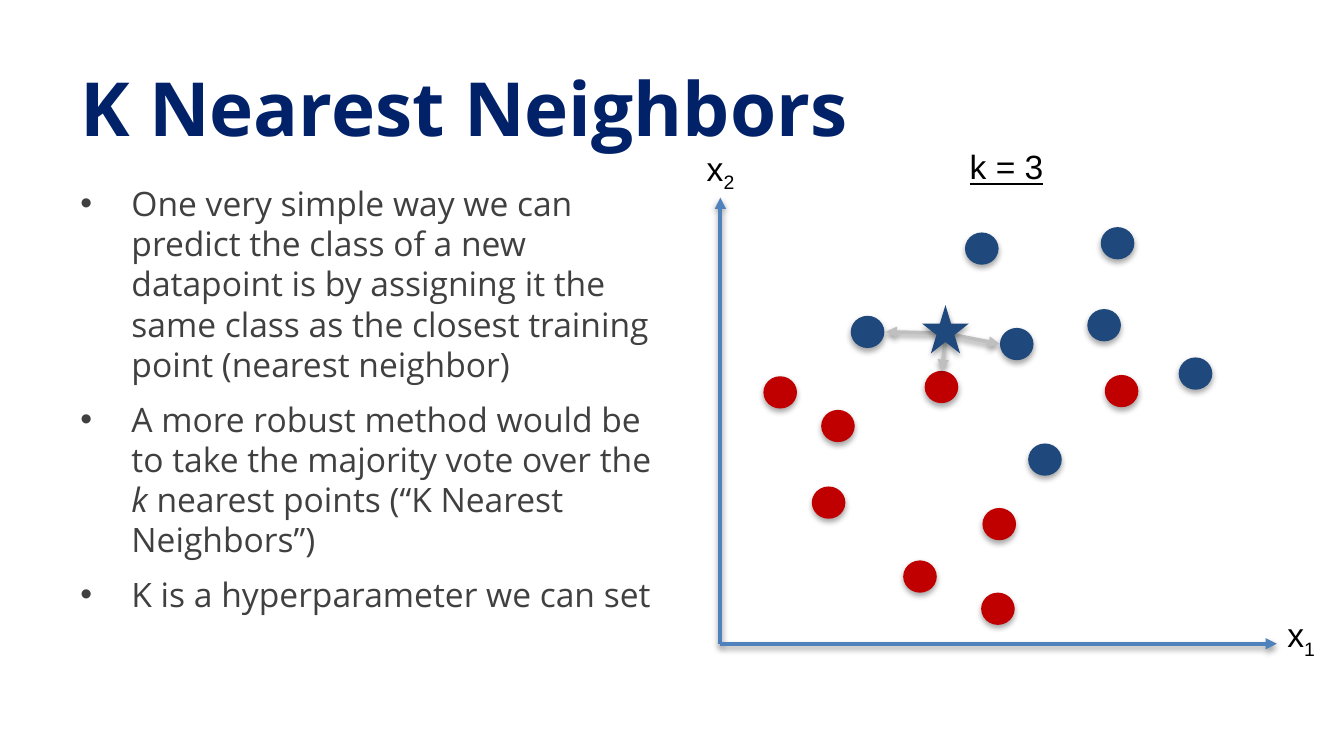
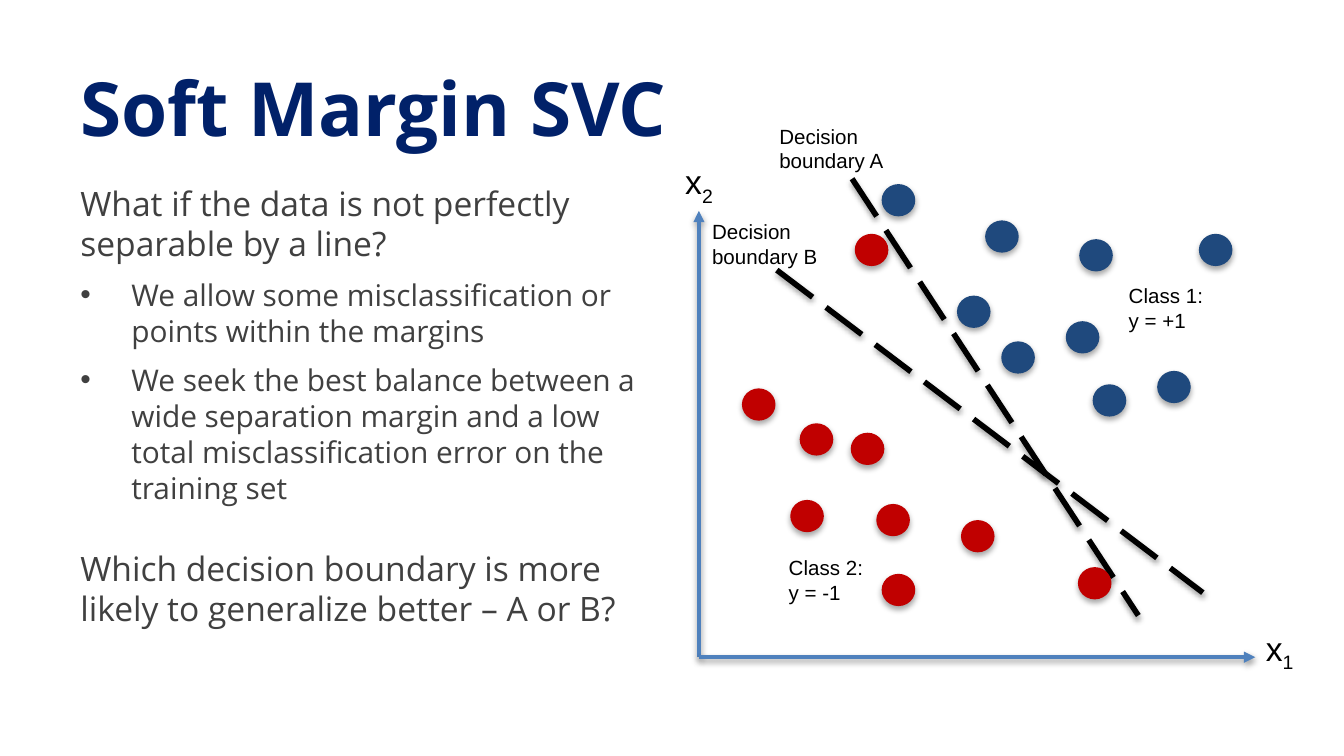
from lxml import etree
from pptx import Presentation
from pptx.dml.color import RGBColor
from pptx.enum.dml import MSO_LINE
from pptx.enum.shapes import MSO_CONNECTOR, MSO_SHAPE
from pptx.enum.text import MSO_ANCHOR, MSO_AUTO_SIZE, PP_ALIGN
from pptx.oxml.ns import qn
from pptx.util import Inches, Pt

DASH = MSO_LINE.LONG_DASH
LINE = MSO_CONNECTOR.STRAIGHT
OVAL, STAR = MSO_SHAPE.OVAL, MSO_SHAPE.STAR_5_POINT
TOP, MIDDLE = MSO_ANCHOR.TOP, MSO_ANCHOR.MIDDLE
LEFT, CENTER = PP_ALIGN.LEFT, PP_ALIGN.CENTER
GROW, FIXED = MSO_AUTO_SIZE.SHAPE_TO_FIT_TEXT, MSO_AUTO_SIZE.NONE

NAVY = RGBColor(0x01, 0x21, 0x69)
GRAY = RGBColor(0x40, 0x40, 0x40)
BLACK = RGBColor(0, 0, 0)
RED = RGBColor(0xC0, 0, 0)
BLUE = RGBColor(0x1F, 0x49, 0x7D)
AXIS = RGBColor(0x4F, 0x81, 0xBD)
SILVER = RGBColor(0xBF, 0xBF, 0xBF)
SANS, ARIAL = "Open Sans", "Arial"

WIDTH = Inches(10)
HEIGHT = WIDTH * 9 // 16
DOT = (0.25, 0.24)
REACH = (4.14, 3.32)
HANG = 0.38

NEAR = {
    "title": "K Nearest Neighbors",
    "body": [
        {"runs": ["One very simple way we can predict the class of a new datapoint "
                  "is by assigning it the same class as the closest training point "
                  "(nearest neighbor)"], "bullet": True},
        {"runs": ["A more robust method would be to take the majority vote over the ",
                  ("k", {"italic": True}),
                  " nearest points (“K Nearest Neighbors”)"], "bullet": True},
        {"runs": ["K is a hyperparameter we can set"], "bullet": True},
    ],
    "frame": (0.5, 1.31, 4.6, 3.48),
    "origin": (5.36, 4.79),
    "red": [(6.11, 3.05), (6.04, 3.62), (8.22, 2.79), (7.31, 3.78), (6.88, 2.76),
            (5.68, 2.8), (6.72, 4.17), (7.3, 4.41)],
    "blue": [(6.33, 2.35), (7.65, 3.3), (7.44, 2.44), (8.09, 2.3), (8.77, 2.66),
             (8.19, 1.69), (7.18, 1.73)],
    "bounds": [],
    "labels": [],
}
HOPS = [((7.03, 2.48), (7.44, 2.56)), ((7.05, 2.37), (7.01, 2.76)),
        ((7.05, 2.48), (6.59, 2.47))]

SOFT = {
    "title": "Soft Margin SVC",
    "body": [
        {"runs": ["What if the data is not perfectly separable by a line?"]},
        {"runs": ["We allow some misclassification or points within the margins"],
         "bullet": True, "size": 16},
        {"runs": ["We seek the best balance between a wide separation margin and a low "
                  "total misclassification error on the training set"],
         "bullet": True, "size": 16},
        {"runs": ["Which decision boundary is more likely to generalize better – A or B?"],
         "before": 19},
    ],
    "frame": (0.5, 1.31, 4.47, 2.49),
    "origin": (5.2, 4.89),
    "red": [(5.95, 3.15), (5.88, 3.72), (6.33, 3.22), (7.15, 3.87), (6.52, 3.75),
            (5.52, 2.89), (6.56, 4.27), (6.36, 1.74), (8.02, 4.22)],
    "blue": [(7.12, 2.2), (8.92, 1.74), (7.45, 2.54), (7.93, 2.39), (8.61, 2.76),
             (8.03, 1.78), (7.33, 1.64), (8.13, 2.86), (6.56, 1.37)],
    "bounds": [((6.34, 1.33), (8.47, 4.58)), ((5.78, 2.01), (8.95, 4.41))],
    "labels": [
        ((8.3, 2.06, 0.77, 0.47), ["Class 1:", "y = +1"]),
        ((5.77, 4.08, 0.77, 0.47), ["Class 2:", "y = -1"]),
        ((5.2, 1.58, 1, 0.47), ["Decision boundary B"]),
        ((5.7, 0.87, 1, 0.47), ["Decision boundary A"]),
    ],
}


def shade(shape, alpha, dist):
    effect = etree.SubElement(shape._element.spPr, qn("a:effectLst"))
    outer = etree.SubElement(effect, qn("a:outerShdw"), blurRad=str(Pt(3.1)),
                             dist=str(Pt(dist)), dir="5400000", rotWithShape="0")
    tone = etree.SubElement(outer, qn("a:srgbClr"), val="000000")
    etree.SubElement(tone, qn("a:alpha"), val=str(alpha * 1000))


def mark(para):
    props = para._p.get_or_add_pPr()
    props.set("marL", str(Inches(HANG)))
    props.set("indent", str(-Inches(HANG)))
    etree.SubElement(props, qn("a:buFont"), typeface=ARIAL)
    etree.SubElement(props, qn("a:buChar"), char="•")


def write(slide, box, paras, size=18, font=ARIAL, color=BLACK, bold=False, under=False,
          align=LEFT, anchor=TOP, fit=GROW, before=0, after=0):
    frame = slide.shapes.add_textbox(*map(Inches, box)).text_frame
    frame.word_wrap = True
    frame.auto_size = fit
    frame.vertical_anchor = anchor
    for i, item in enumerate(paras):
        para = frame.add_paragraph() if i else frame.paragraphs[0]
        if item.get("bullet"):
            mark(para)
        points = item.get("size", size)
        para.alignment = align
        para.space_before = Pt(item.get("before", before * points) if i else 0)
        para.space_after = Pt(after)
        for part in item["runs"]:
            text, style = (part, {}) if isinstance(part, str) else part
            run = para.add_run()
            run.text = text
            face = run.font
            face.name, face.size, face.bold = font, Pt(points), bold
            face.color.rgb = color
            face.underline = under
            face.italic = style.get("italic", False)
            if "base" in style:
                run._r.get_or_add_rPr().set("baseline", str(style["base"] * 1000))


def blob(slide, kind, spot, size, color, alpha, dist):
    shape = slide.shapes.add_shape(kind, *map(Inches, spot + size))
    shape.fill.solid()
    shape.fill.fore_color.rgb = color
    shape.line.fill.background()
    shade(shape, alpha, dist)


def rule(slide, start, end, color, width=2, dash=None, arrow=True):
    link = slide.shapes.add_connector(LINE, *map(Inches, start + end))
    link.line.color.rgb = color
    link.line.width = Pt(width)
    if dash:
        link.line.dash_style = dash
    if arrow:
        etree.SubElement(link._element.spPr.find(qn("a:ln")), qn("a:tailEnd"),
                         type="triangle")
    shade(link, 38, 1.6)


def plot(slide, data):
    x, y = data["origin"]
    wide, high = REACH
    rule(slide, (x, y), (x, y - high), AXIS)
    rule(slide, (x, y), (x + wide, y), AXIS)
    for num, left, top in (("1", x + 4.12, y - 0.27), ("2", x - 0.2, y - 3.74)):
        write(slide, (left, top, 0.52, 0.4), [{"runs": ["x", (num, {"base": -25})]}])
    for start, end in data["bounds"]:
        rule(slide, start, end, BLACK, width=3, dash=DASH, arrow=False)
    for name, color in (("red", RED), ("blue", BLUE)):
        for spot in data[name]:
            blob(slide, OVAL, spot, DOT, color, 35, 1.8)
    for box, lines in data["labels"]:
        write(slide, box, [{"runs": [line]} for line in lines], size=11)


def page(deck, data):
    slide = deck.slides.add_slide(deck.slide_layouts[6])
    write(slide, (0.5, 0.42, 9, 0.74), [{"runs": [data["title"]]}], size=40, font=SANS,
          color=NAVY, bold=True, anchor=MIDDLE, fit=FIXED)
    write(slide, data["frame"], data["body"], font=SANS, color=GRAY, fit=FIXED,
          before=0.2, after=4)
    plot(slide, data)
    return slide


def main():
    deck = Presentation()
    deck.slide_width, deck.slide_height = WIDTH, HEIGHT
    near = page(deck, NEAR)
    for start, end in HOPS:
        rule(near, start, end, SILVER)
    blob(near, STAR, (6.86, 2.27), (0.35, 0.36), BLUE, 38, 1.6)
    write(near, (6.76, 1.04, 1.46, 0.4), [{"runs": ["k = 3"]}], under=True, align=CENTER)
    page(deck, SOFT)
    deck.save("out.pptx")


if __name__ == "__main__":
    main()
